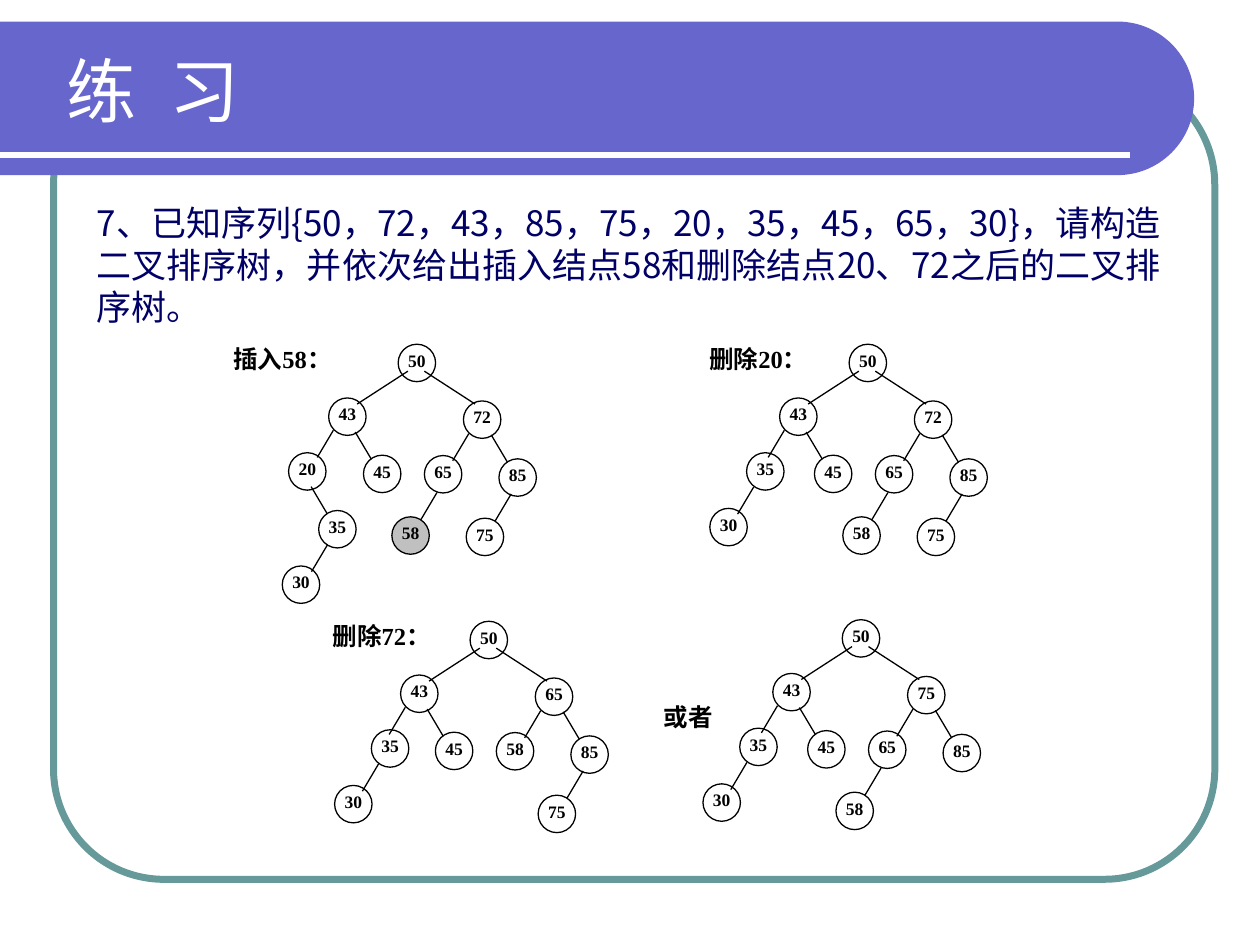
import math
from dataclasses import dataclass

from lxml import etree
from pptx import Presentation
from pptx import util as u
from pptx.dml.color import RGBColor
from pptx.enum import shapes, text
from pptx.oxml.ns import qn

Pt = u.Pt
ALIGN = text.PP_ALIGN
ANCHOR = text.MSO_ANCHOR


@dataclass(frozen=True)
class Theme:
    banner: str = "6666CC"
    frame: str = "669999"
    question: str = "000066"
    ink: str = "000000"
    paper: str = "FFFFFF"
    inserted: str = "C0C0C0"
    serif: str = "Times New Roman"
    sans: str = "Noto Sans CJK SC"
    title_size: int = 40
    question_size: int = 20
    label_size: int = 14
    key_size: int = 10


THEME = Theme()


def write(shape, words, size, color, font=THEME.serif, bold=False, align=ALIGN.LEFT,
          anchor=ANCHOR.TOP, inset=None, leading=None, tracking=None):
    """Put one formatted paragraph into a shape."""
    frame = shape.text_frame
    frame.word_wrap = True
    frame.vertical_anchor = anchor
    if inset is not None:
        frame.margin_left = frame.margin_right = Pt(inset)
        frame.margin_top = frame.margin_bottom = Pt(inset)
    paragraph = frame.paragraphs[0]
    paragraph.alignment = align
    if leading:
        paragraph.line_spacing = Pt(leading)
    run = paragraph.add_run()
    run.text = words
    run.font.size, run.font.bold, run.font.name = Pt(size), bold, font
    run.font.color.rgb = RGBColor.from_string(color)
    properties = run.font._element
    etree.SubElement(properties, qn("a:ea")).set("typeface", THEME.sans)
    if tracking:
        properties.set("spc", str(tracking * 100))


class Page:
    """The current slide and the style its elements share."""

    def __init__(self, slide, theme):
        self.slide, self.theme = slide, theme
        self.canvas = slide.shapes

    def paint(self, shape, fill=None, line=None, weight=0.75):
        shape.shadow.inherit = False
        if fill:
            shape.fill.solid()
            shape.fill.fore_color.rgb = RGBColor.from_string(fill)
        else:
            shape.fill.background()
        if line:
            shape.line.color.rgb = RGBColor.from_string(line)
            shape.line.width = Pt(weight)
        else:
            shape.line.fill.background()

    def preset(self, kind, x, y, w, h, **paint):
        shape = self.canvas.add_shape(kind, Pt(x), Pt(y), Pt(w), Pt(h))
        self.paint(shape, **paint)
        return shape

    def outline(self, points, fill):
        start, *rest = [(Pt(x), Pt(y)) for x, y in points]
        builder = self.canvas.build_freeform(*start)
        builder.add_line_segments(rest, close=True)
        self.paint(builder.convert_to_shape(), fill=fill)

    def line(self, x1, y1, x2, y2, color, weight=0.75):
        line = self.canvas.add_connector(
            shapes.MSO_CONNECTOR.STRAIGHT, Pt(x1), Pt(y1), Pt(x2), Pt(y2))
        line.line.color.rgb = RGBColor.from_string(color)
        line.line.width = Pt(weight)
        etree.SubElement(line._element.spPr, qn("a:effectLst"))

    def text(self, words, x, y, w, h, **style):
        box = self.canvas.add_textbox(Pt(x), Pt(y), Pt(w), Pt(h))
        write(box, words, **style)

    def title(self, words, x, y, w, h, **style):
        title = self.slide.shapes.title
        title.left, title.top, title.width, title.height = Pt(x), Pt(y), Pt(w), Pt(h)
        write(title, words, **style)
        title.element.getparent().append(title.element)  # in front of the banner

    def tree(self, root, keys, label, fills, nudges):
        """Draw a search tree; each key is stored under its path from the root."""
        self.canvas = self.slide.shapes.add_group_shape().shapes
        words, x, y, w, align = label
        self.text(words, x, y, w, 16, size=self.theme.label_size, color=self.theme.ink,
                  bold=True, align=align, inset=0)
        for path, key in keys.items():
            dx, dy = NODES[path]
            node = self.preset(
                shapes.MSO_SHAPE.OVAL, root[0] + dx + nudges.get(path, 0), root[1] + dy,
                NODE, NODE, fill=fills.get(path, self.theme.paper), line=self.theme.ink)
            write(node, str(key), self.theme.key_size, self.theme.ink, bold=True,
                  align=ALIGN.CENTER, inset=0)
        for path in filter(None, keys):
            dx, dy = BRANCHES[path]
            x, y = root[0] + dx + nudges.get(path[:-1], 0), root[1] + dy
            run, drop = (29, 18.8) if len(path) == 1 else (9.2, 15.5)
            self.line(x, y, x + (run if path[-1] == "R" else -run), y + drop,
                      self.theme.ink)
        self.canvas = self.slide.shapes


# Tree layout: offsets from the root's corner, by path of left and right turns
NODE = 21.4
NODES = {
    "": (0, 0), "L": (-39.7, 30.7), "R": (37.3, 32.4),
    "LL": (-58.6, 62), "LR": (-19.8, 63.4), "RL": (15, 63.6), "RR": (57.6, 65.5),
    "LLL": (-79.6, 93.8), "LLR": (-45.4, 95), "LLRL": (-66.2, 126.7),
    "RLL": (-3.6, 98.6), "RRL": (38.9, 99.4),
}
BRANCHES = {
    "L": (5.6, 15.4), "R": (15, 15.4),
    "LL": (-37, 49.2), "LR": (-24.5, 50.2), "RL": (40.4, 51.1), "RR": (53.2, 51.8),
    "LLL": (-54.5, 81.6), "LLR": (-45.7, 81.4), "LLRL": (-40.3, 114.5),
    "RLL": (22.2, 84.8), "RRL": (64.6, 85.6),
}
COMMON = {"": 50, "L": 43, "LR": 45, "RR": 85}
PRUNED = COMMON | {"LL": 35, "LLL": 30}
FULL_RIGHT = {"R": 72, "RL": 65, "RLL": 58, "RRL": 75}

TREES = [
    dict(root=(227.5, 196.7), keys=COMMON | FULL_RIGHT | {"LL": 20, "LLR": 35, "LLRL": 30},
         label=("插入58：", 133.3, 196.6, 63.4, ALIGN.JUSTIFY),
         fills={"RLL": THEME.inserted}, nudges={"LL": -4}),
    dict(root=(268.6, 355), keys=PRUNED | {"R": 65, "RL": 58, "RRL": 75},
         label=("删除72：", 190, 355, 63, ALIGN.JUSTIFY),
         fills={}, nudges={"LL": 2.2, "LLL": 2.2}),
    dict(root=(481.3, 354.1), keys=PRUNED | {"R": 75, "RL": 65, "RLL": 58},
         label=("或者", 371.5, 401, 36, ALIGN.RIGHT), fills={}, nudges={}),
    dict(root=(485.2, 196.7), keys=PRUNED | FULL_RIGHT,
         label=("删除20：", 405.3, 196.6, 63.4, ALIGN.JUSTIFY),
         fills={"RLL": None}, nudges={}),
]

deck = Presentation()
deck.slide_width, deck.slide_height = Pt(720), Pt(540)
page = Page(deck.slides.add_slide(deck.slide_layouts[5]), THEME)

# Frame and banner
frame = page.preset(shapes.MSO_SHAPE.ROUNDED_RECTANGLE, 30.6, 42.5, 663.6, 460,
                    line=THEME.frame, weight=4)
frame.adjustments[0] = 0.137
radius, bend, middle = 43.9, 638.5, 56.2
arc = [math.radians(angle) for angle in range(-90, 91, 3)]
page.outline([(0, middle - radius)]
             + [(bend + radius * math.cos(a), middle + radius * math.sin(a)) for a in arc]
             + [(0, middle + radius)], THEME.banner)
page.line(0, 88.6, 645.8, 88.6, THEME.paper, weight=3)

# Question
page.text("7、已知序列{50，72，43，85，75，20，35，45，65，30}，请构造二叉排序树，"
          "并依次给出插入结点58和删除结点20、72之后的二叉排序树。",
          48.2, 111.6, 623.5, 79.2, size=THEME.question_size, color=THEME.question,
          font=THEME.sans, leading=24)

# Answer trees
for tree in TREES:
    page.tree(**tree)

# Title
page.title("练 习", 31, 15.1, 631.4, 72, size=THEME.title_size, color=THEME.paper,
           anchor=ANCHOR.MIDDLE, tracking=5)

deck.save("out.pptx")
